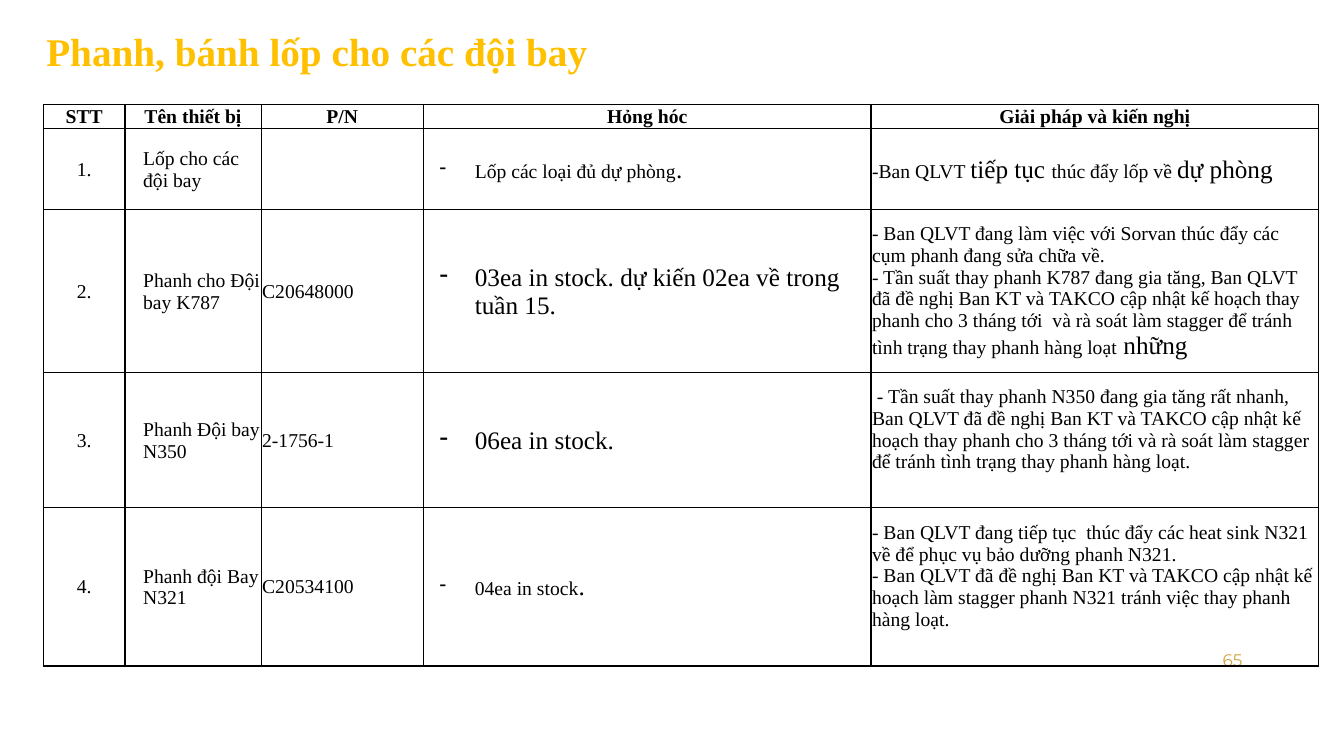
import dataclasses

import pptx
import pptx.dml.color
import pptx.enum.text
import pptx.oxml
import pptx.oxml.ns
import pptx.util

Inches = pptx.util.Inches
ALIGN = pptx.enum.text.PP_ALIGN
MIDDLE = pptx.enum.text.MSO_ANCHOR.MIDDLE


@dataclasses.dataclass(frozen=True)
class Theme:
    font: str = "Times New Roman"
    number_font: str = "Montserrat"
    ink: str = "000000"
    title: str = "FFC000"
    number: str = "D2A43B"
    title_size: int = 28
    large: int = 18
    body: int = 14
    number_size: int = 12
    border: int = 1


THEME = Theme()


def write(paragraph, text, size=THEME.body, font=THEME.font, color=THEME.ink,
          bold=False):
    run = paragraph.add_run()
    run.text = text
    run.font.size = pptx.util.Pt(size)
    run.font.name = font
    run.font.bold = bold
    run.font.color.rgb = pptx.dml.color.RGBColor.from_string(color)


def indent(paragraph, left, first=0, bullet=None):
    properties = paragraph._p.get_or_add_pPr()
    properties.set("marL", str(Inches(left)))
    properties.set("indent", str(Inches(first)))
    if bullet:
        mark = pptx.oxml.parse_xml(
            f'<a:buChar {pptx.oxml.ns.nsdecls("a")} char="{bullet}"/>')
        properties.append(mark)


def draw_borders(cell, visible):
    properties = cell._tc.get_or_add_tcPr()
    for side in "LRTB":
        paint = (f'<a:solidFill><a:srgbClr val="{THEME.ink}"/></a:solidFill>'
                 if side in visible else "<a:noFill/>")
        properties.append(pptx.oxml.parse_xml(
            f'<a:ln{side} {pptx.oxml.ns.nsdecls("a")} '
            f'w="{pptx.util.Pt(THEME.border)}">{paint}</a:ln{side}>'))


class SlideBuilder:
    def __init__(self, presentation):
        self.theme = THEME
        self.slide = presentation.slides.add_slide(presentation.slide_layouts[5])

    def title(self, text, left, top, width, height):
        title = self.slide.shapes.title
        title.left, title.top = Inches(left), Inches(top)
        title.width, title.height = Inches(width), Inches(height)
        title.text_frame.vertical_anchor = MIDDLE
        heading = title.text_frame.paragraphs[0]
        heading.alignment = ALIGN.LEFT
        heading.line_spacing = 0.9
        indent(heading, 0.06)
        write(heading, text, size=self.theme.title_size,
              color=self.theme.title, bold=True)

    def page_number(self, text, left, top, width, height):
        box = self.slide.shapes.add_textbox(
            Inches(left), Inches(top), Inches(width), Inches(height))
        box.text_frame.word_wrap = True
        box.text_frame.vertical_anchor = MIDDLE
        number = box.text_frame.paragraphs[0]
        number.alignment = ALIGN.RIGHT
        write(number, text, size=self.theme.number_size,
              font=self.theme.number_font, color=self.theme.number)

    def table(self, left, top, widths, heights):
        table = self.slide.shapes.add_table(
            len(heights), len(widths), Inches(left), Inches(top),
            Inches(sum(widths)), Inches(sum(heights))).table
        table.first_row = table.horz_banding = False
        for column, width in zip(table.columns, widths):
            column.width = Inches(width)
        for row, height in zip(table.rows, heights):
            row.height = Inches(height)
        for index, row in enumerate(table.rows):
            for cell in row.cells:
                cell.margin_left = cell.margin_right = Inches(0.01)
                cell.margin_top, cell.margin_bottom = Inches(0.01), 0
                cell.vertical_anchor = MIDDLE
                cell.text_frame.paragraphs[0].font.size = pptx.util.Pt(self.theme.body)
                draw_borders(cell, "LRTB" if index else "B")
                cell.fill.background()
        return table

    def cell(self, cell, paragraphs, align=ALIGN.LEFT, left=0, first=0,
             bullet=None, bold=False):
        """Each paragraph is a list of (text, size) runs."""
        frame = cell.text_frame
        for index, runs in enumerate(paragraphs):
            paragraph = frame.add_paragraph() if index else frame.paragraphs[0]
            paragraph.alignment = align
            if left:
                indent(paragraph, left, first, bullet)
            for text, size in runs:
                write(paragraph, text, size=size, bold=bold)


BODY, LARGE = THEME.body, THEME.large
HEADERS = ["STT", "Tên thiết bị", "P/N", "Hỏng hóc", "Giải pháp và kiến nghị"]

# Device, part number, fault runs, solution paragraphs, space under the solution
DEVICES = [
    ("Lốp cho các đội bay", "",
     [("Lốp các loại đủ dự phòng", BODY), (".", LARGE)],
     [[("-Ban QLVT ", BODY), ("tiếp tục ", LARGE),
       ("thúc đẩy lốp về ", BODY), ("dự phòng", LARGE)]], 0),
    ("Phanh cho Đội bay K787", "C20648000",
     [("03ea in stock. dự kiến 02ea về trong tuần 15.", LARGE)],
     [[("- Ban QLVT đang làm việc với Sorvan thúc đẩy các cụm phanh đang "
        "sửa chữa về.", BODY)],
      [("- Tần suất thay phanh K787 đang gia tăng, Ban QLVT đã đề nghị Ban KT "
        "và TAKCO cập nhật kế hoạch thay phanh cho 3 tháng tới  và rà soát làm "
        "stagger để tránh tình trạng thay phanh hàng loạt", BODY),
       (" những", LARGE)]], 0),
    ("Phanh Đội bay N350", "2-1756-1",
     [("06ea in stock.", LARGE)],
     [[(" - Tần suất thay phanh N350 đang gia tăng rất nhanh, Ban QLVT đã đề "
        "nghị Ban KT và TAKCO cập nhật kế hoạch thay phanh cho 3 tháng tới và "
        "rà soát làm stagger để tránh tình trạng thay phanh hàng loạt.", BODY)]],
     0.22),
    ("Phanh đội Bay N321", "C20534100",
     [("04ea in stock", BODY), (".", LARGE)],
     [[("- Ban QLVT đang tiếp tục  thúc đẩy các heat sink N321 về để phục vụ "
        "bảo dưỡng phanh N321.", BODY)],
      [("- Ban QLVT đã đề nghị Ban KT và TAKCO cập nhật kế hoạch làm stagger "
        "phanh N321 tránh việc thay phanh hàng loạt.", BODY)]], 0.22),
]


def main():
    presentation = pptx.Presentation()
    presentation.slide_width = Inches(13.33)
    presentation.slide_height = Inches(7.5)
    builder = SlideBuilder(presentation)

    # Title and page number
    builder.title("Phanh, bánh lốp cho các đội bay", 0.3, 0.14, 11.66, 0.78)
    builder.page_number("65", 9.42, 6.35, 3, 0.4)

    # Table grid with an open merged row above the headers
    status = builder.table(0.43, 0.79, [0.81, 1.35, 1.61, 4.44, 4.44],
                           [0.24, 0.24, 0.8, 1.62, 1.34, 1.57])
    status.cell(0, 0).merge(status.cell(0, len(HEADERS) - 1))

    # Header row
    for column, header in enumerate(HEADERS):
        builder.cell(status.cell(1, column), [[(header, BODY)]],
                     align=ALIGN.CENTER, bold=True)

    # Device rows
    for order, (device, part, fault, solution, space) in enumerate(DEVICES, 1):
        cells = status.rows[order + 1].cells
        builder.cell(cells[0], [[(f"{order}.", BODY)]], align=ALIGN.CENTER)
        builder.cell(cells[1], [[(device, BODY)]], left=0.17)
        if part:
            builder.cell(cells[2], [[(part, BODY)]])
        builder.cell(cells[3], [fault], left=0.5, first=-0.35, bullet="-")
        builder.cell(cells[4], solution)
        cells[4].margin_bottom = Inches(space)

    presentation.save("out.pptx")


if __name__ == "__main__":
    main()
